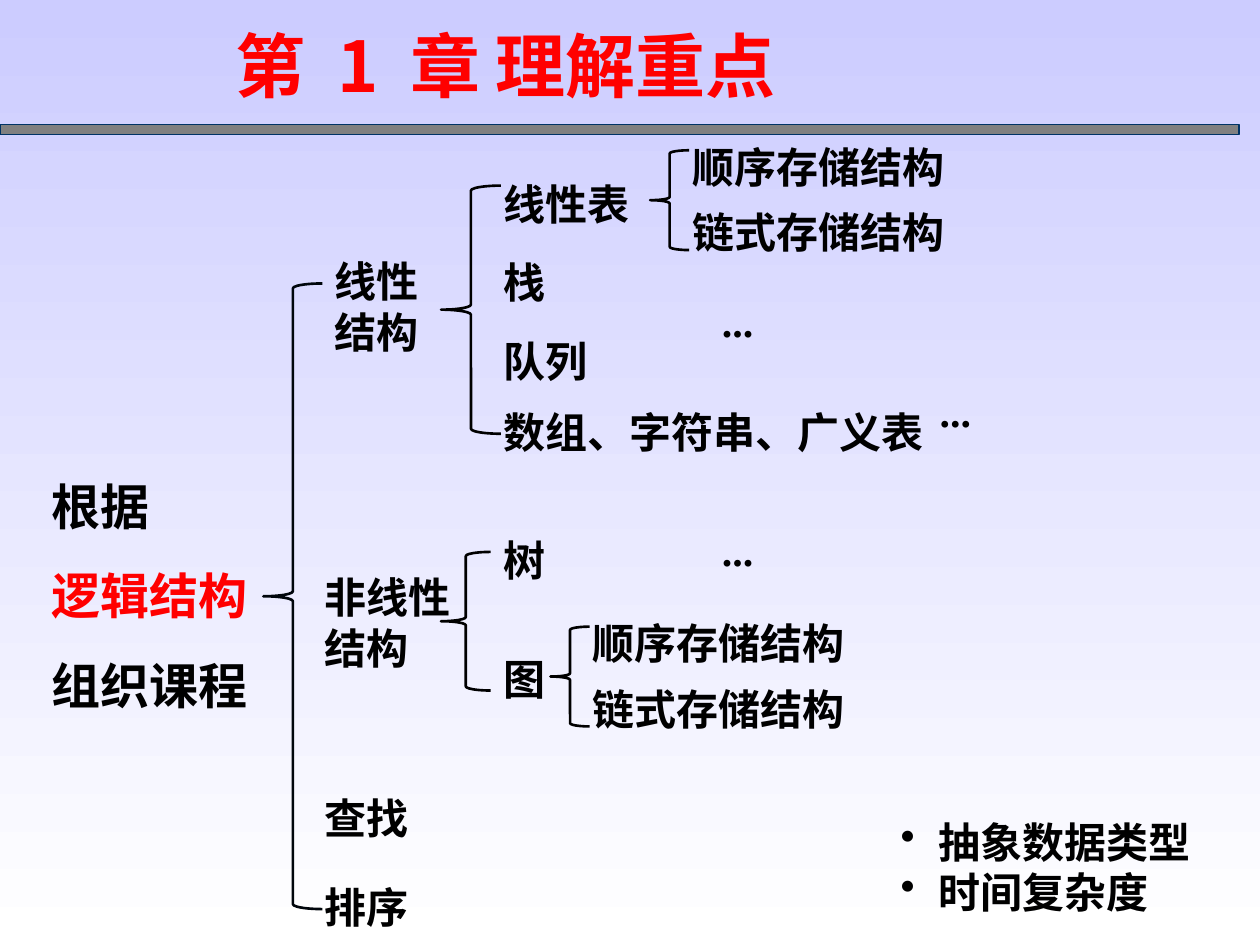
import pptx
import pptx.util
import pptx.dml.color
import pptx.enum.shapes
import pptx.enum.text
import pptx.oxml.ns
import lxml.etree

Pt = pptx.util.Pt
BODY_FONT = "Times New Roman"
TITLE_FONT = "Noto Sans CJK SC"
LABEL_SIZE = 24
STORAGE_ROWS = [("顺序存储结构", -8.6), ("链式存储结构", 28.8)]


def color(value):
    return pptx.dml.color.RGBColor.from_string(value)


def place(shape, box):
    for name, value in zip(("left", "top", "width", "height"), box):
        setattr(shape, name, Pt(value))


def format_font(font, size, fill="000000", name=BODY_FONT):
    for key, value in {"size": Pt(size), "bold": True, "name": name}.items():
        setattr(font, key, value)
    font.color.rgb = color(fill)


def format_frame(frame):
    values = {
        "word_wrap": True,
        "auto_size": pptx.enum.text.MSO_AUTO_SIZE.NONE,
        "vertical_anchor": pptx.enum.text.MSO_ANCHOR.TOP,
        "margin_left": Pt(7.2), "margin_right": Pt(7.2),
        "margin_top": Pt(3.6), "margin_bottom": Pt(3.6),
    }
    for key, value in values.items():
        setattr(frame, key, value)


def add_text(slide, box, lines, size=LABEL_SIZE, gap=0, fills=None, bullet=False):
    """Write one paragraph per line, with gap points between paragraphs."""
    shape = slide.shapes.add_textbox(*map(Pt, box))
    frame = shape.text_frame
    format_frame(frame)
    for index, line in enumerate(lines):
        paragraph = frame.add_paragraph() if index else frame.paragraphs[0]
        if index and gap:
            paragraph.space_before = Pt(gap)
        if bullet:
            add_bullet(paragraph)
        run = paragraph.add_run()
        run.text = line
        format_font(run.font, size, fills[index] if fills else "000000")


def add_bullet(paragraph):
    properties = paragraph._p.get_or_add_pPr()
    indent = Pt(21.6)
    properties.set("marL", str(indent))
    properties.set("indent", str(-indent))
    bullet = lxml.etree.SubElement(properties, pptx.oxml.ns.qn("a:buChar"))
    bullet.set("char", "•")


def add_background(slide):
    fill = slide.background.fill
    fill.gradient()
    fill.gradient_angle = 270
    for stop, value, position in zip(fill.gradient_stops, ("CCCCFF", "FFFFFF"), (0, 1)):
        stop.color.rgb = color(value)
        stop.position = position


def add_header(slide, box):
    """Place the title in the box and the rule below it."""
    left, top, width, height = box
    title = slide.shapes.title
    place(title, (left + 127.4, top + 9.4, 400.3, 55.4))
    format_frame(title.text_frame)
    paragraph = title.text_frame.paragraphs[0]
    paragraph.alignment = pptx.enum.text.PP_ALIGN.LEFT
    for text in ("第", " ", "1", " ", "章 理解重点"):
        run = paragraph.add_run()
        run.text = text
        format_font(run.font, 40, "FF0000", TITLE_FONT)
        if text == " ":
            run._r.get_or_add_rPr().set("spc", "900")

    rule = slide.shapes.add_shape(
        pptx.enum.shapes.MSO_SHAPE.RECTANGLE,
        Pt(left), Pt(top + height - 5.8), Pt(width), Pt(5.8))
    rule.shadow.inherit = False
    rule.fill.solid()
    rule.fill.fore_color.rgb = color("808080")
    rule.line.color.rgb = color("003366")
    rule.line.width = Pt(0.75)


def add_branch(slide, box, gap, rows, line="000000"):
    """Draw a brace in the box and labels at gap from its left, each at an offset from its top."""
    left, top, width, height = box
    brace = slide.shapes.add_shape(
        pptx.enum.shapes.MSO_SHAPE.LEFT_BRACE, *map(Pt, box))
    brace.shadow.inherit = False
    brace.fill.background()
    brace.line.color.rgb = color(line)
    brace.line.width = Pt(1.5)
    for text, offset in rows:
        lines = text.split("\n")
        label_width = 20 + LABEL_SIZE * max(map(len, lines)) + 12
        label_box = (left + gap, top + offset, label_width, 7.2 + 28.8 * len(lines))
        add_text(slide, label_box, lines)


def add_structure_tree(slide, box):
    left, top = box[:2]
    add_text(slide, (left, top + 191.3, 144.7, 143.3),
             ["根据", "逻辑结构", "组织课程"], 28, 17.5,
             ["000000", "FF0000", "000000"])
    add_branch(slide, (left + 128.2, top + 84.7, 33.8, 357.5), 28.1,
               [("非线性\n结构", 161.3), ("查找", 287.3), ("排序", 338.4)], "00060C")
    add_text(slide, (left + 162, top + 65.3, 164.2, 64.8), ["线性", "结构"])
    add_branch(slide, (left + 229.7, top + 28.8, 34.2, 141.8), 28.8,
               [("线性表", -7.9), ("栈", 36.8), ("队列", 82.1),
                ("数组、字符串、广义表", 122.4)])
    add_branch(slide, (left + 229.7, top + 238.1, 28.4, 79.2), 28.8,
               [("树", -13.7), ("图", 54.7)])
    for x, y in ((349.2, 8.6), (292.3, 280.8)):
        add_branch(slide, (left + x, top + y, 22.3, 57), 16.9, STORAGE_ROWS)
    for x, y in ((383.1, 88.3), (507.6, 139.4), (383.1, 218.6)):
        add_text(slide, (left + x, top + y, 51, 36), ["..."])


def main():
    presentation = pptx.Presentation()
    presentation.slide_width, presentation.slide_height = Pt(720), Pt(540)
    slide = presentation.slides.add_slide(presentation.slide_layouts[5])
    add_background(slide)
    add_header(slide, (0, 0, 708, 77))
    add_structure_tree(slide, (22.3, 77.3, 600, 460))
    add_text(slide, (507.6, 463, 209.5, 64.8), ["抽象数据类型", "时间复杂度"], bullet=True)
    presentation.save("out.pptx")


if __name__ == "__main__":
    main()
